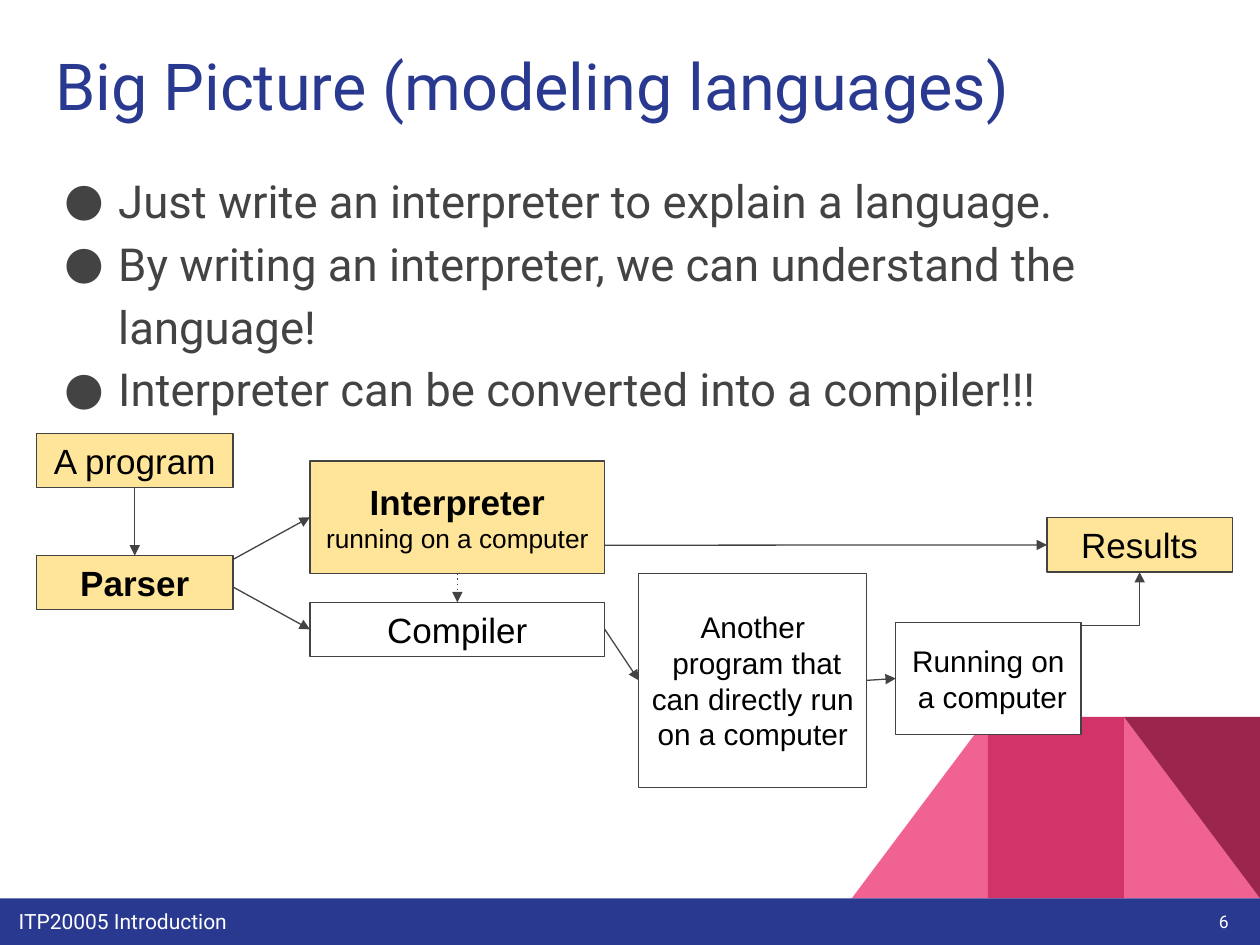
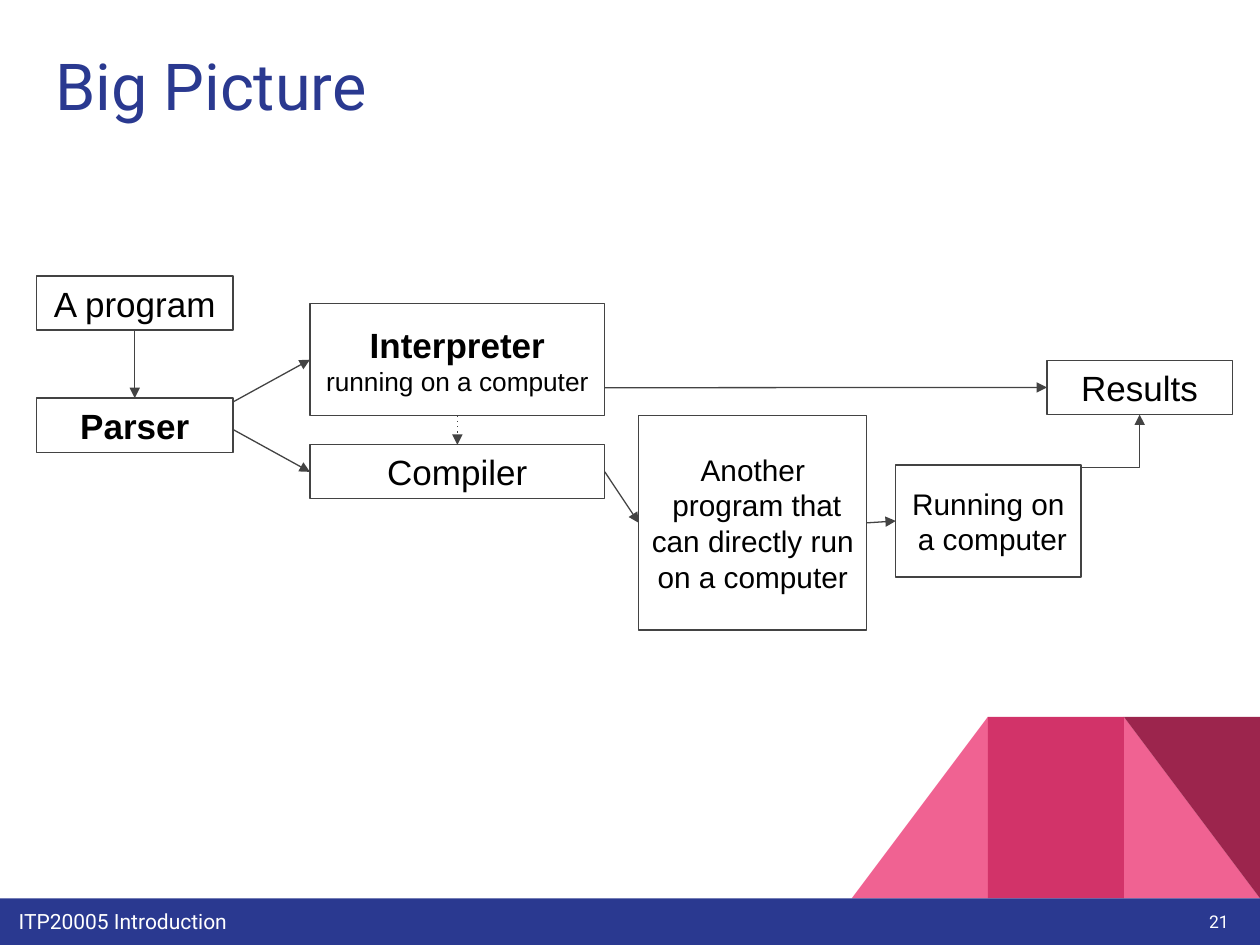
from pptx import Presentation, util as u
from pptx.dml.color import RGBColor
from pptx.enum import dml, shapes, text
from pptx.oxml.ns import qn
from lxml import etree

NAVY = RGBColor(0x2A, 0x39, 0x90)
CHARCOAL = RGBColor(0x43, 0x43, 0x43)
BLACK = RGBColor(0, 0, 0)
WHITE = RGBColor(0xFF, 0xFF, 0xFF)
CREAM = RGBColor(0xFF, 0xE5, 0x99)
PINK = RGBColor(0xF0, 0x62, 0x92)
ROSE = RGBColor(0xD2, 0x33, 0x69)
WINE = RGBColor(0x9C, 0x25, 0x4D)

WIDTH, HEIGHT = 10, 7.5
BAND_TOP = 7.13
BAND_H = HEIGHT - BAND_TOP
FACET_W, FACET_H = 1.08, 1.44
RECT = shapes.MSO_SHAPE.RECTANGLE
TRIANGLE = shapes.MSO_SHAPE.RIGHT_TRIANGLE
CENTER, RIGHT = text.PP_ALIGN.CENTER, text.PP_ALIGN.RIGHT

# Each stage: left, top below the diagram's top, width, height
STAGES = {
    "interpreter": (2.46, 0.22, 2.34, 0.89),
    "compiler": (2.46, 1.34, 2.34, 0.43),
    "program": (0.29, 0, 1.56, 0.43),
    "target": (5.07, 1.11, 1.81, 1.7),
    "running": (7.11, 1.5, 1.47, 0.89),
    "results": (8.31, 0.67, 1.47, 0.43),
    "parser": (0.29, 0.97, 1.56, 0.43),
}
# Each stage's runs: wording, size, bold
WORDING = {
    "interpreter": [("Interpreter ", 20, True), ("running on a computer", 15, False)],
    "compiler": [("Compiler", 20, False)],
    "program": [("A program", 20, False)],
    "target": [("Another\n program that can directly run on a computer", 17, False)],
    "running": [("Running on\n a computer", 17, False)],
    "results": [("Results", 20, False)],
    "parser": [("Parser", 20, True)],
}
# Each flow: stage and point on it (shares of width and height), twice
FLOWS = [
    ("parser", (1, 0.07), "interpreter", (0, 0.5)),
    ("parser", (1, 0.58), "compiler", (0, 0.5)),
    ("compiler", (1, 0.5), "target", (0, 0.5)),
    ("target", (1, 0.5), "running", (0, 0.5)),
    ("program", (0.5, 1), "parser", (0.5, 0)),
    ("interpreter", (1, 0.75), "results", (0, 0.5)),
]
INTERPRETER_PATH = ("program", "parser", "interpreter", "results")


def inches(*lengths):
    return [u.Inches(length) for length in lengths]


def add_filled(slide, kind, box, fill=None, line=None):
    shape = slide.shapes.add_shape(kind, *inches(*box))
    shape.shadow.inherit = False
    if fill is None:
        shape.fill.background()
    else:
        shape.fill.solid()
        shape.fill.fore_color.rgb = fill
    if line is None:
        shape.line.fill.background()
    else:
        shape.line.color.rgb = line
        shape.line.width = u.Pt(0.75)
    return shape


def set_frame(frame, anchor):
    frame.word_wrap = True
    frame.vertical_anchor = anchor
    frame.margin_left = frame.margin_right = u.Inches(0.1)
    frame.margin_top = frame.margin_bottom = u.Inches(0.1)


def set_font(font, size, color, name="Roboto"):
    font.size, font.name = u.Pt(size), name
    font.color.rgb = color


def add_lines(slide, box, lines, size, color, align=None, anchor=text.MSO_ANCHOR.TOP):
    frame = slide.shapes.add_textbox(*inches(*box)).text_frame
    set_frame(frame, anchor)
    frame.text = "\n".join(lines)
    for paragraph in frame.paragraphs:
        paragraph.alignment = align
        set_font(paragraph.font, size, color)
    return frame.paragraphs


def add_bullets(slide, points):
    for paragraph in add_lines(slide, (0.34, 1.21, 9.6, 4.87), points, 26, CHARCOAL):
        paragraph.line_spacing = 1.15
        props = paragraph._p.get_or_add_pPr()
        props.set("marL", str(u.Inches(0.5)))
        props.set("indent", str(u.Inches(-0.43)))
        typeface = etree.Element(qn("a:buFont"), typeface="Roboto")
        props.find(qn("a:lnSpc")).addnext(typeface)
        typeface.addnext(etree.Element(qn("a:buChar"), char="●"))


def add_facets(slide):
    """Draw the folded pink ornament in the bottom right corner."""
    left, middle, right = (WIDTH - n * FACET_W for n in (3, 2, 1))
    top = BAND_TOP - FACET_H

    def facet(kind, x, color):
        return add_filled(slide, kind, (x, top, FACET_W, FACET_H), color)

    facet(TRIANGLE, right, PINK)
    facet(TRIANGLE, left, PINK)._element.spPr.xfrm.set("flipH", "1")
    facet(RECT, middle, ROSE)
    facet(TRIANGLE, right, WINE).rotation = 180


def start_slide(deck, title, number):
    slide = deck.slides.add_slide(deck.slide_layouts[6])
    add_facets(slide)
    add_filled(slide, RECT, (0, BAND_TOP, WIDTH, BAND_H), NAVY)
    add_lines(slide, (0.05, 7.11, 7.35, 0.36), ["ITP20005 Introduction"], 12, WHITE)
    add_lines(slide, (0.34, 0.26, 9.32, 0.89), [title], 37, NAVY)
    add_lines(slide, (9.25, BAND_TOP, 0.6, BAND_H), [str(number)], 10, WHITE,
              RIGHT, text.MSO_ANCHOR.MIDDLE)
    return slide


def add_stage(slide, box, runs, fill):
    frame = add_filled(slide, RECT, box, fill, CHARCOAL).text_frame
    set_frame(frame, text.MSO_ANCHOR.MIDDLE)
    paragraph = frame.paragraphs[0]
    paragraph.alignment = CENTER
    for wording, size, bold in runs:
        for row, line in enumerate(wording.split("\n")):
            if row:
                paragraph.add_line_break()
            run = paragraph.add_run()
            run.text = line
            set_font(run.font, size, BLACK, "Arial")
            run.font.bold = bold


def add_arrow(slide, start, end, kind=shapes.MSO_CONNECTOR.STRAIGHT):
    arrow = slide.shapes.add_connector(kind, *inches(*start, *end))
    arrow.line.color.rgb = CHARCOAL
    arrow.line.width = u.Pt(0.75)
    etree.SubElement(arrow.line._get_or_add_ln(), qn("a:tailEnd"), type="triangle")
    etree.SubElement(arrow._element.spPr, qn("a:effectLst"))
    return arrow


def add_dotted_arrow(slide, start, end):
    line = add_arrow(slide, start, end).line
    line.dash_style = dml.MSO_LINE.ROUND_DOT
    line._get_or_add_ln().find(qn("a:prstDash")).set("val", "dot")


def add_rising_elbow(slide, start, end):
    """Go up, right and up again: an elbow turned a quarter to the left."""
    (x1, y1), (x2, y2) = start, end
    mid_x, mid_y = (x1 + x2) / 2, (y1 + y2) / 2
    half_run, half_rise = (x2 - x1) / 2, (y1 - y2) / 2
    elbow = add_arrow(slide, (mid_x - half_rise, mid_y - half_run),
                      (mid_x + half_rise, mid_y + half_run),
                      shapes.MSO_CONNECTOR.ELBOW)
    elbow._element.spPr.find(qn("a:xfrm")).set("rot", str(270 * 60000))


def add_pipeline(slide, diagram_top, highlighted=()):
    def point(stage, share):
        left, top, width, height = STAGES[stage]
        return left + share[0] * width, diagram_top + top + share[1] * height

    for stage, (left, top, width, height) in STAGES.items():
        fill = WHITE if stage == "running" else None
        if stage in highlighted:
            fill = CREAM
        add_stage(slide, (left, diagram_top + top, width, height), WORDING[stage], fill)
    for source, leaving, target, arriving in FLOWS:
        add_arrow(slide, point(source, leaving), point(target, arriving))
    add_dotted_arrow(slide, point("interpreter", (0.5, 1)), point("compiler", (0.5, 0)))
    add_rising_elbow(slide, point("running", (1, 0.5)), point("results", (0.5, 1)))


def main():
    deck = Presentation()
    deck.slide_width, deck.slide_height = inches(WIDTH, HEIGHT)

    modeling = start_slide(deck, "Big Picture (modeling languages)", 6)
    add_bullets(modeling, [
        "Just write an interpreter to explain a language.",
        "By writing an interpreter, we can understand the language!",
        "Interpreter can be converted into a compiler!!!",
    ])
    add_pipeline(modeling, 3.44, INTERPRETER_PATH)

    overview = start_slide(deck, "Big Picture", 21)
    add_pipeline(overview, 2.19)

    deck.save("out.pptx")


if __name__ == "__main__":
    main()
